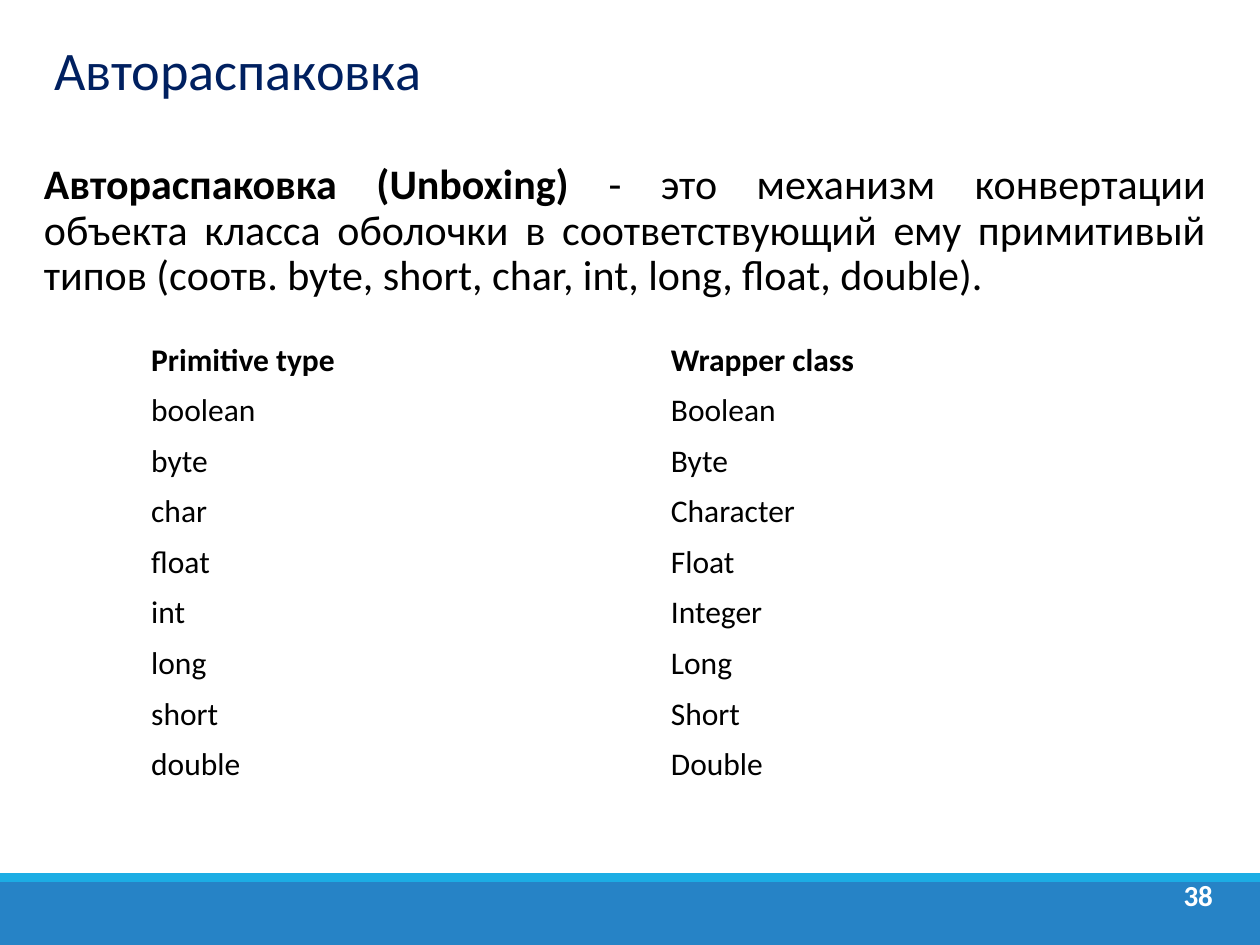
"""Builds the slide on unboxing with its table of primitive types and wrappers."""
from pptx import Presentation
from pptx.dml.color import RGBColor
from pptx.enum.shapes import MSO_SHAPE
from pptx.enum.text import MSO_ANCHOR, PP_ALIGN
from pptx.util import Pt

COLORS = {
    "footer": "2683C6",
    "stripe": "1CADE4",
    "title": "002060",
    "text": "000000",
    "number": "FFFFFF",
}
TYPE_PAIRS = [
    ("Primitive type", "Wrapper class"),
    ("boolean", "Boolean"),
    ("byte", "Byte"),
    ("char", "Character"),
    ("float", "Float"),
    ("int", "Integer"),
    ("long", "Long"),
    ("short", "Short"),
    ("double", "Double"),
]
TERM = "Автораспаковка (Unboxing) "
DEFINITION = (
    "- это механизм конвертации объекта класса оболочки в соответствующий ему "
    "примитивый типов (соотв. byte, short, char, int, long, float, double)."
)


def color(key):
    return RGBColor.from_string(COLORS[key])


def style_run(run, size, color_key, bold=False):
    run.font.name = "Calibri"
    run.font.size = Pt(size)
    run.font.bold = bold
    run.font.color.rgb = color(color_key)


def add_bar(slide, top, height, color_key):
    bar = slide.shapes.add_shape(MSO_SHAPE.RECTANGLE, 0, Pt(top), Pt(720), Pt(height))
    bar.shadow.inherit = False
    bar.fill.solid()
    bar.fill.fore_color.rgb = color(color_key)
    bar.line.fill.background()


def add_text(slide, bounds, parts, size, color_key, spacing,
             align=PP_ALIGN.LEFT, anchor=MSO_ANCHOR.TOP):
    frame = slide.shapes.add_textbox(*map(Pt, bounds)).text_frame
    frame.word_wrap = True
    frame.vertical_anchor = anchor
    paragraph = frame.paragraphs[0]
    paragraph.alignment = align
    paragraph.line_spacing = spacing
    for words, bold in parts:
        run = paragraph.add_run()
        run.text = words
        style_run(run, size, color_key, bold)


def add_type_table(slide, left, top, width, row_height):
    row_count = len(TYPE_PAIRS)
    table = slide.shapes.add_table(
        row_count, 2, Pt(left), Pt(top), Pt(width), Pt(row_height * row_count)
    ).table
    table.first_row = False
    table.horz_banding = False
    for row, pair in enumerate(TYPE_PAIRS):
        for column, type_name in enumerate(pair):
            cell = table.cell(row, column)
            cell.fill.background()
            cell.vertical_anchor = MSO_ANCHOR.MIDDLE
            paragraph = cell.text_frame.paragraphs[0]
            paragraph.text = type_name
            paragraph.line_spacing = 0.83
            style_run(paragraph.runs[0], 18, "text", bold=row == 0)


def main():
    presentation = Presentation()
    presentation.slide_width = Pt(720)
    presentation.slide_height = Pt(540)
    slide = presentation.slides.add_slide(presentation.slide_layouts[6])
    add_bar(slide, 504, 36, "footer")
    add_bar(slide, 499, 5, "stripe")
    add_text(slide, (23.8, 20.2, 649.4, 45.4), [("Автораспаковка", False)],
             31, "title", 0.8, anchor=MSO_ANCHOR.MIDDLE)
    add_text(slide, (667.4, 500.4, 34.6, 28.8), [("38", True)],
             16.6, "number", 0.9, align=PP_ALIGN.CENTER)
    add_text(slide, (18, 90, 678.2, 403.2), [(TERM, True), (DEFINITION, False)],
             24, "text", 0.9, align=PP_ALIGN.JUSTIFY)
    add_type_table(slide, 79.2, 192.2, 594, 28.9)
    presentation.save("out.pptx")


if __name__ == "__main__":
    main()
